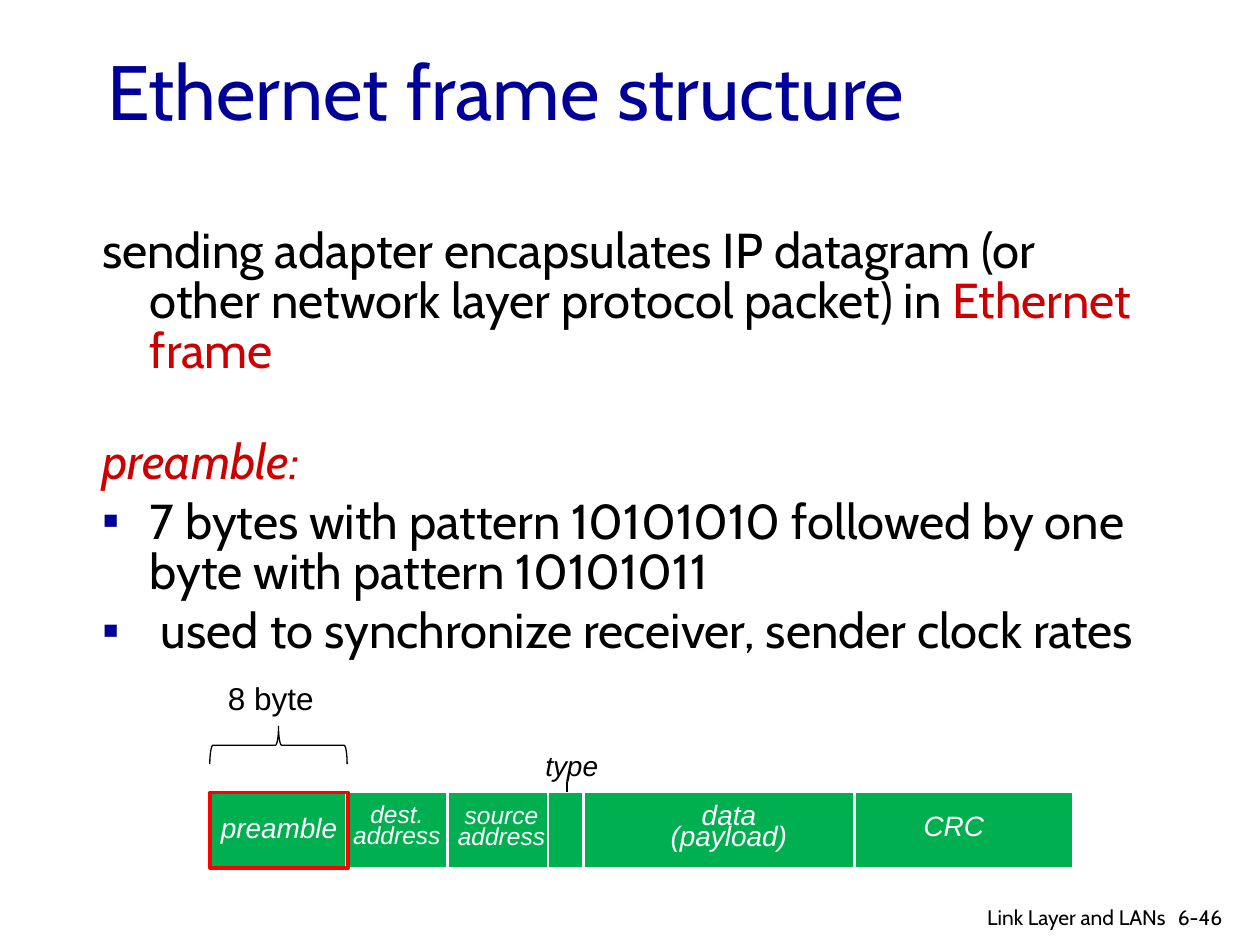
from dataclasses import dataclass

from lxml import etree
from pptx import Presentation
from pptx import util as u
from pptx.dml.color import RGBColor
from pptx.enum import shapes, text
from pptx.oxml import ns

BLACK, WHITE, NAVY, RED = "000000", "FFFFFF", "000099", "CC0000"
GREEN, HIGHLIGHT = "00B050", "FF0000"
FRAME_LEFT, FRAME_TOP, FRAME_WIDTH, FRAME_HEIGHT = 1.67, 6.29, 6.84, 0.6
PREAMBLE_WIDTH = 1.09


@dataclass
class Label:
    """A text box; each line becomes one paragraph."""
    lines: list[str]
    left: float
    top: float
    width: float
    height: float
    size: float = 16
    color: str = WHITE
    italic: bool = True
    font: str = "Arial"
    align: text.PP_ALIGN = text.PP_ALIGN.CENTER
    line_spacing: float | None = 12


@dataclass
class Item:
    """A body paragraph made of (text, color) spans."""
    spans: list[tuple[str, str]]
    bullet: bool = False
    italic: bool = False
    space_before: float = 5.6


DIVIDERS = [2.75, 3.55, 4.35, 4.63, 6.78]

LABELS = [
    Label(["dest.", "address"], 2.69, 6.36, 0.92, 0.45, size=14),
    Label(["source", "address"], 3.52, 6.37, 0.92, 0.45, size=14),
    Label(["data (payload)"], 5.03, 6.38, 1.51, 0.45),
    Label(["CRC"], 7.1, 6.47, 0.94, 0.29),
    Label(["preamble"], 1.63, 6.48, 1.17, 0.29),
    Label(["type"], 4.23, 5.89, 0.84, 0.37, color=BLACK,
          align=text.PP_ALIGN.LEFT, line_spacing=None),
    Label(["8 byte"], 1.71, 5.34, 1.09, 0.4, size=18, color=BLACK, italic=False,
          align=text.PP_ALIGN.LEFT, line_spacing=None),
    Label(["6-46"], 9.25, 7.13, 0.6, 0.3, size=12, color=BLACK, italic=False,
          font="Cabin", align=text.PP_ALIGN.LEFT, line_spacing=None),
    Label(["Link Layer and LANs"], 6.97, 7.13, 2.38, 0.26, size=12, color=BLACK,
          italic=False, font="Cabin", align=text.PP_ALIGN.RIGHT, line_spacing=None),
]

ITEMS = [
    Item([("sending adapter encapsulates IP datagram (or other network layer "
           "protocol packet) in ", BLACK), ("Ethernet frame", RED)]),
    Item([("preamble:", RED)], italic=True, space_before=35),
    Item([("7 bytes with pattern 10101010 followed by one byte with pattern 10101011",
           BLACK)], bullet=True),
    Item([(" used to synchronize receiver, sender clock rates", BLACK)], bullet=True),
]


def rgb(color: str) -> RGBColor:
    return RGBColor.from_string(color)


def place(shape, left: float, top: float, width: float, height: float) -> None:
    shape.left, shape.top = u.Inches(left), u.Inches(top)
    shape.width, shape.height = u.Inches(width), u.Inches(height)


def add_span(para, words: str, *, size: float, color: str, font: str = "Cabin",
             italic: bool = False) -> None:
    span = para.add_run()
    span.text = words
    span.font.size = u.Pt(size)
    span.font.name = font
    span.font.italic = italic
    span.font.color.rgb = rgb(color)


def add_label(page, label: Label) -> None:
    box = page.shapes.add_textbox(*map(u.Inches, (label.left, label.top,
                                                  label.width, label.height)))
    frame = box.text_frame
    frame.word_wrap = True
    for index, line in enumerate(label.lines):
        para = frame.add_paragraph() if index else frame.paragraphs[0]
        para.alignment = label.align
        if label.line_spacing:
            para.line_spacing = u.Pt(label.line_spacing)
        add_span(para, line, size=label.size, color=label.color, font=label.font,
                 italic=label.italic)


def set_bullet(para, bullet: bool) -> None:
    """Give the paragraph a hanging indent, with or without a navy square."""
    props = para._p.get_or_add_pPr()
    props.set("marL", str(u.Inches(0.38)))
    props.set("indent", str(u.Inches(-0.38)))
    if not bullet:
        etree.SubElement(props, ns.qn("a:buNone"))
        return
    tint = etree.SubElement(props, ns.qn("a:buClr"))
    etree.SubElement(tint, ns.qn("a:srgbClr"), val=NAVY)
    etree.SubElement(props, ns.qn("a:buFont"), typeface="Arial")
    etree.SubElement(props, ns.qn("a:buChar"), char="▪")


def add_outline(page, kind: shapes.MSO_SHAPE, left: float, top: float, width: float,
                height: float, *, line: str, weight: float, fill: str | None = None):
    shape = page.shapes.add_shape(kind, *map(u.Inches, (left, top, width, height)))
    shape.shadow.inherit = False
    if fill:
        shape.fill.solid()
        shape.fill.fore_color.rgb = rgb(fill)
    else:
        shape.fill.background()
    shape.line.color.rgb = rgb(line)
    shape.line.width = u.Pt(weight)
    return shape


def add_vertical(page, x: float, top: float, bottom: float, color: str,
                 weight: float) -> None:
    line = page.shapes.add_connector(shapes.MSO_CONNECTOR.STRAIGHT,
                                     *map(u.Inches, (x, top, x, bottom)))
    line.line.color.rgb = rgb(color)
    line.line.width = u.Pt(weight)
    etree.SubElement(line._element.spPr, ns.qn("a:effectLst"))


def fill_title(title) -> None:
    place(title, 0.75, 0.38, 8.5, 0.67)
    frame = title.text_frame
    frame.auto_size = text.MSO_AUTO_SIZE.NONE
    frame.vertical_anchor = text.MSO_ANCHOR.MIDDLE
    para = frame.paragraphs[0]
    para.alignment = text.PP_ALIGN.LEFT
    add_span(para, "Ethernet frame structure", size=44, color=NAVY)


def fill_body(body) -> None:
    place(body, 0.71, 1.76, 8.5, 4.75)
    frame = body.text_frame
    frame.auto_size = text.MSO_AUTO_SIZE.NONE
    for index, item in enumerate(ITEMS):
        para = frame.add_paragraph() if index else frame.paragraphs[0]
        para.line_spacing = 0.85
        para.space_before = u.Pt(item.space_before)
        set_bullet(para, item.bullet)
        for words, color in item.spans:
            add_span(para, words, size=28, color=color, italic=item.italic)


def draw_frame(page) -> None:
    """Draw the Ethernet frame with its fields, the preamble marked."""
    rectangle = shapes.MSO_SHAPE.RECTANGLE
    add_vertical(page, 4.5, 6.21, 6.44, BLACK, 0.75)
    add_outline(page, rectangle, FRAME_LEFT, FRAME_TOP, FRAME_WIDTH, FRAME_HEIGHT,
                line=WHITE, weight=0.75, fill=GREEN)
    for x in DIVIDERS:
        add_vertical(page, x, FRAME_TOP, FRAME_TOP + FRAME_HEIGHT, WHITE, 1.5)
    add_outline(page, rectangle, FRAME_LEFT, FRAME_TOP, PREAMBLE_WIDTH, FRAME_HEIGHT,
                line=HIGHLIGHT, weight=2.25)
    brace = add_outline(page, shapes.MSO_SHAPE.LEFT_BRACE, 2.06, 5.37, 0.3,
                        PREAMBLE_WIDTH, line=BLACK, weight=0.75)
    brace.rotation = 90


def main() -> None:
    deck = Presentation()
    deck.slide_width, deck.slide_height = u.Inches(10), u.Inches(7.5)
    page = deck.slides.add_slide(deck.slide_layouts[1])
    fill_title(page.shapes.title)
    fill_body(page.placeholders[1])
    draw_frame(page)
    for label in LABELS:
        add_label(page, label)
    deck.save("out.pptx")


if __name__ == "__main__":
    main()
